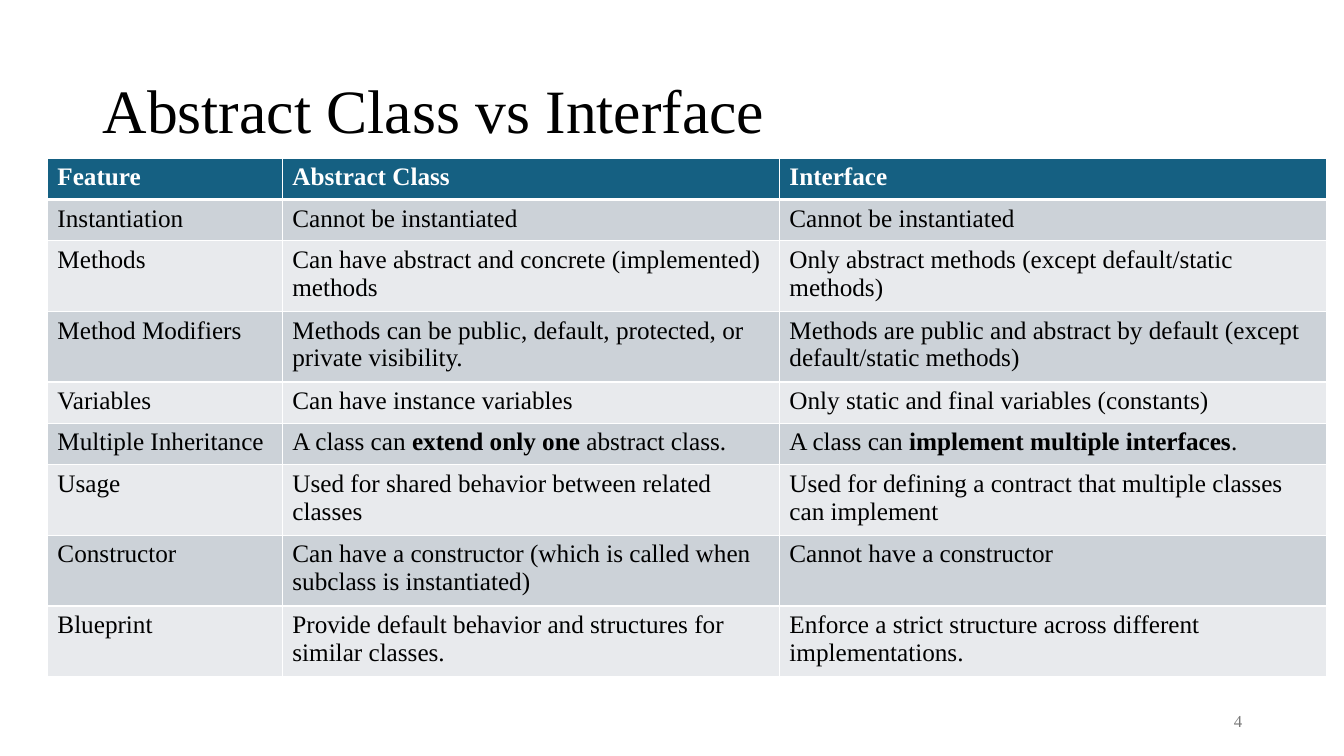
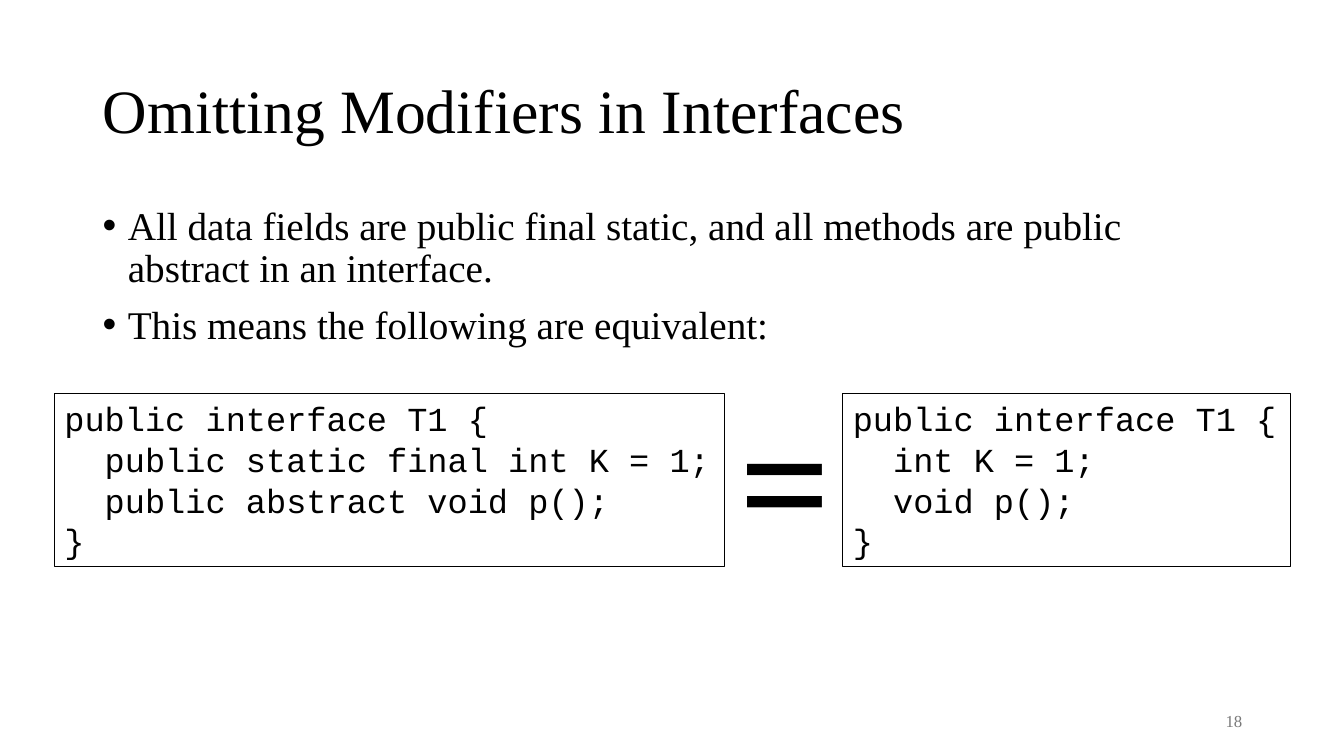
from lxml import etree
from pptx import Presentation
from pptx.dml.color import RGBColor
from pptx.enum.shapes import MSO_SHAPE
from pptx.enum.text import MSO_ANCHOR, MSO_AUTO_SIZE, PP_ALIGN
from pptx.oxml.ns import qn
from pptx.util import Inches, Pt

LEFT, RIGHT = PP_ALIGN.LEFT, PP_ALIGN.RIGHT
TOP, MIDDLE = MSO_ANCHOR.TOP, MSO_ANCHOR.MIDDLE
FIT_SHAPE = MSO_AUTO_SIZE.SHAPE_TO_FIT_TEXT
RECTANGLE = MSO_SHAPE.RECTANGLE


class Theme:
    ink = RGBColor.from_string("000000")
    white = RGBColor.from_string("FFFFFF")
    muted = RGBColor.from_string("797979")
    header = RGBColor.from_string("156082")
    bands = [RGBColor.from_string("CCD2D8"), RGBColor.from_string("E8EAED")]
    serif, mono = "Times New Roman", "Courier New"
    title, body, code, cell, footer, symbol = 44, 28, 24, 18, 12, 115
    code_leading = Pt(29)
    code_indent = 0.4


def write(tf, text, size, font=Theme.serif, color=Theme.ink, bold=False, align=LEFT,
          anchor=TOP, spacing=None, before=None, bullet=None, code=False, wrap=True):
    """Fill a text frame, a paragraph per line; **stars** mark bold words."""
    tf.word_wrap = wrap
    tf.vertical_anchor = anchor
    if not wrap:
        tf.auto_size = FIT_SHAPE
    for i, line in enumerate(text.split("\n")):
        p = tf.add_paragraph() if i else tf.paragraphs[0]
        p.alignment = align
        if spacing:
            p.line_spacing = spacing
        if before:
            p.space_before = Pt(before)
        pPr = p._p.get_or_add_pPr()
        if bullet:
            pPr.set("marL", str(Inches(0.25)))
            pPr.set("indent", str(-Inches(0.25)))
            etree.SubElement(pPr, qn("a:buFont"), typeface="Arial")
            etree.SubElement(pPr, qn("a:buChar"), char=bullet)
        if code and line.startswith("\t"):
            pPr.set("marL", str(Inches(Theme.code_indent)))
            line = line.lstrip("\t")
        for j, part in enumerate(line.split("**")):
            r = p.add_run()
            r.text = part
            r.font.name = font
            r.font.size = Pt(size)
            r.font.bold = bold or j % 2 == 1
            r.font.color.rgb = color


def set_borders(cell, **widths):
    """Draw white cell borders; widths in points by side: L, R, T, B."""
    tcPr = cell._tc.get_or_add_tcPr()
    for side, width in widths.items():
        ln = etree.SubElement(tcPr, qn(f"a:ln{side}"), w=str(Pt(width)))
        fill = etree.SubElement(ln, qn("a:solidFill"))
        etree.SubElement(fill, qn("a:srgbClr"), val=str(Theme.white))


prs = Presentation()
prs.slide_width, prs.slide_height = Inches(13.33), Inches(7.5)

# Titles and page numbers
slides = []
for title, number in [("Abstract Class vs Interface", "4"),
                      ("Omitting Modifiers in Interfaces", "18")]:
    s = prs.slides.add_slide(prs.slide_layouts[6])
    sp = s.shapes.add_textbox(Inches(0.92), Inches(0.4), Inches(11.5), Inches(1.45))
    write(sp.text_frame, title, Theme.title, anchor=MIDDLE, spacing=0.9)
    sp = s.shapes.add_textbox(Inches(9.42), Inches(6.95), Inches(3), Inches(0.4))
    write(sp.text_frame, number, Theme.footer, color=Theme.muted, align=RIGHT, anchor=MIDDLE)
    slides.append(s)
comparison, modifiers = slides

# Comparison table
rows = [
    ("Feature", "Abstract Class", "Interface"),
    ("Instantiation", "Cannot be instantiated", "Cannot be instantiated"),
    ("Methods", "Can have abstract and concrete (implemented) methods",
     "Only abstract methods (except default/static methods)"),
    ("Method Modifiers", "Methods can be public, default, protected, or private visibility.",
     "Methods are public and abstract by default (except default/static methods)"),
    ("Variables", "Can have instance variables",
     "Only static and final variables (constants)"),
    ("Multiple Inheritance", "A class can **extend only one** abstract class.",
     "A class can **implement multiple interfaces**."),
    ("Usage", "Used for shared behavior between related classes",
     "Used for defining a contract that multiple classes can implement"),
    ("Constructor", "Can have a constructor (which is called when subclass is instantiated)",
     "Cannot have a constructor"),
    ("Blueprint", "Provide default behavior and structures for similar classes.",
     "Enforce a strict structure across different implementations."),
]
widths = [2.33, 4.93, 5.43]
row_height = 0.41
table = comparison.shapes.add_table(
    len(rows), len(widths), Inches(0.47), Inches(1.57),
    Inches(sum(widths)), Inches(row_height * len(rows))).table
for column, width in zip(table.columns, widths):
    column.width = Inches(width)
for i, row in enumerate(rows):
    table.rows[i].height = Inches(row_height)
    is_header = i == 0
    for j, text in enumerate(row):
        cell = table.cell(i, j)
        set_borders(cell, L=1, R=1, T=3 if i == 1 else 1, B=3 if is_header else 1)
        cell.fill.solid()
        cell.fill.fore_color.rgb = Theme.header if is_header else Theme.bands[(i - 1) % 2]
        write(cell.text_frame, text, Theme.cell, bold=is_header,
              color=Theme.white if is_header else Theme.ink)

# Equivalent interfaces
sp = modifiers.shapes.add_textbox(Inches(0.92), Inches(2), Inches(11.5), Inches(1.75))
write(sp.text_frame,
      "All data fields are public final static, and all methods are public abstract "
      "in an interface.\nThis means the following are equivalent:",
      Theme.body, spacing=0.9, before=10, bullet="•")

for left, width, members in [
    (0.54, 6.65, "\tpublic static final int K = 1;\n\tpublic abstract void p();"),
    (8.36, 4.44, "\tint K = 1;\n\tvoid p();"),
]:
    sp = modifiers.shapes.add_shape(RECTANGLE, Inches(left), Inches(3.9),
                                    Inches(width), Inches(1.72))
    sp.shadow.inherit = False
    sp.fill.background()
    sp.line.color.rgb = Theme.ink
    sp.line.width = Pt(0.75)
    write(sp.text_frame, f"public interface T1 {{\n{members}\n}}", Theme.code,
          font=Theme.mono, spacing=Theme.code_leading, code=True, wrap=False)

sp = modifiers.shapes.add_textbox(Inches(7.24), Inches(3.71), Inches(1.12), Inches(2.04))
write(sp.text_frame, "=", Theme.symbol, bold=True, wrap=False)

prs.save("out.pptx")
